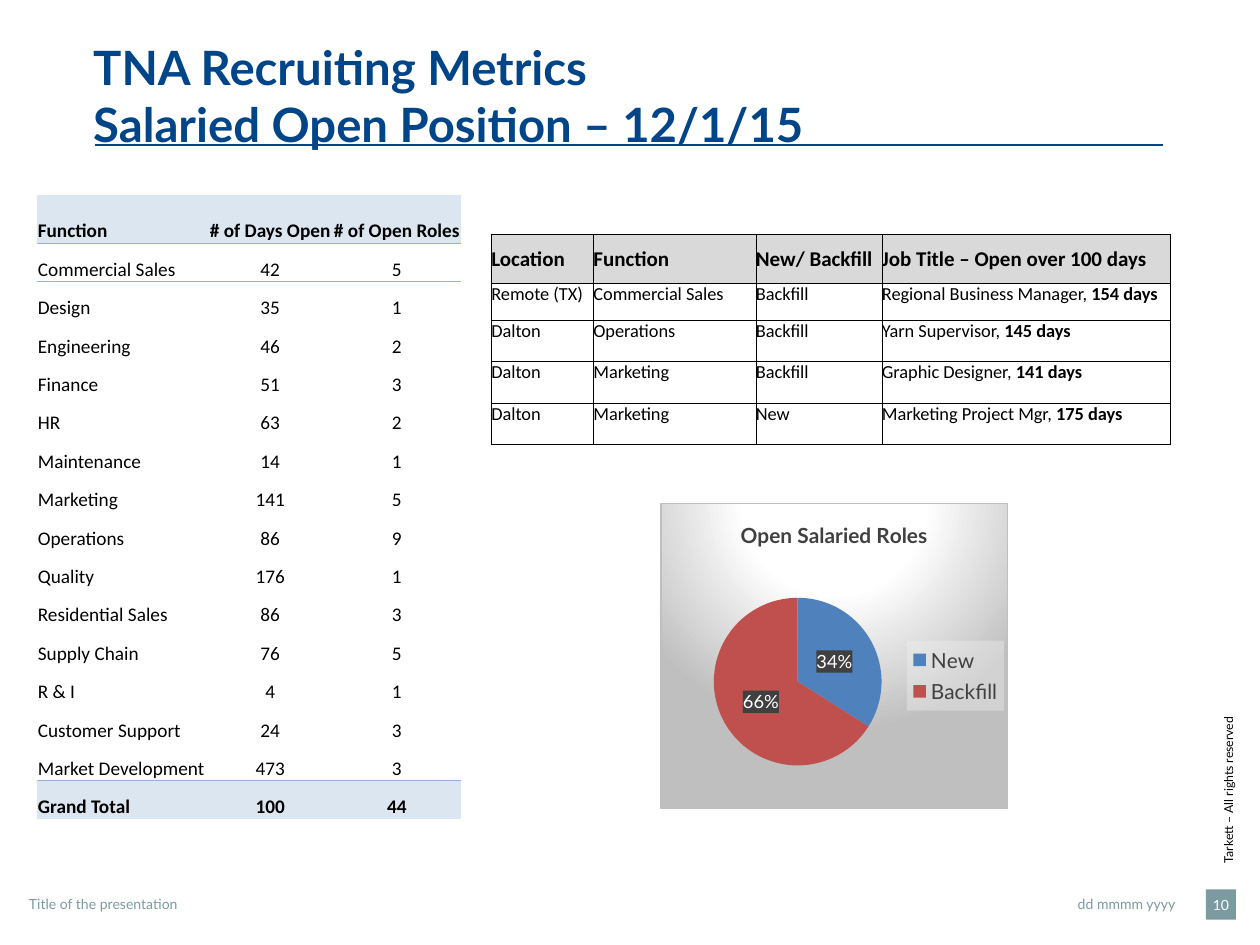
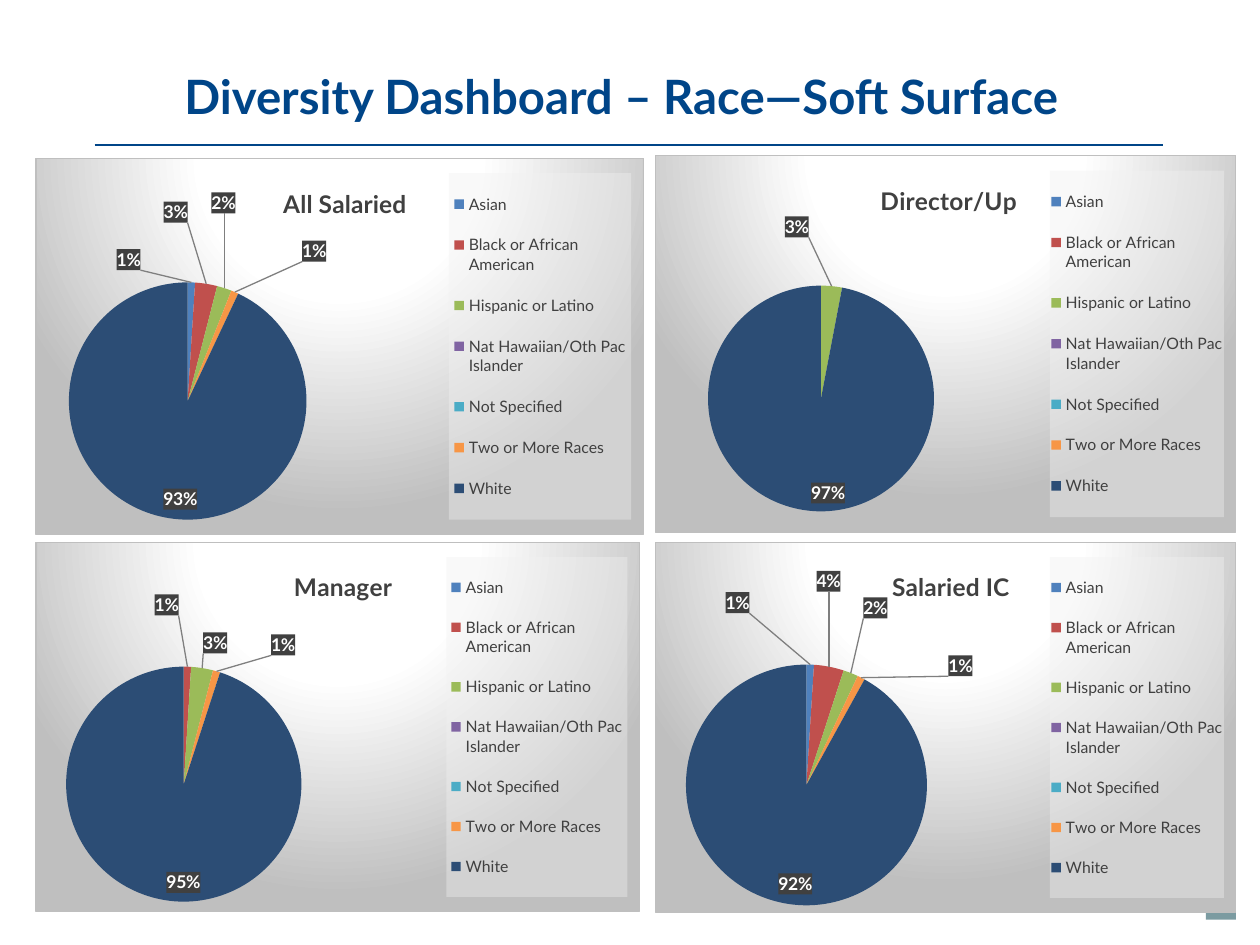
from pptx import Presentation
from pptx import oxml
from pptx.chart import data as cd
from pptx.dml.color import RGBColor
from pptx.enum import chart as ec, shapes as es, text as et
from pptx.oxml import ns
from pptx.util import Inches, Pt

NAVY = RGBColor(0x00, 0x45, 0x88)
TEAL = RGBColor(0x7B, 0x9B, 0xA1)
BLACK = RGBColor(0, 0, 0)
WHITE = RGBColor(255, 255, 255)
DARK = RGBColor(0x40, 0x40, 0x40)
GREY = RGBColor(0xD9, 0xD9, 0xD9)
PALE = RGBColor(0xDC, 0xE6, 0xF1)
EDGE = RGBColor(0x95, 0xB3, 0xD7)
SILVER = RGBColor(0xBF, 0xBF, 0xBF)
BLUE = RGBColor(0x4F, 0x81, 0xBD)
RED = RGBColor(0xC0, 0x50, 0x4D)
RACE_HUES = [BLUE, RED, RGBColor(0x9B, 0xBB, 0x59), RGBColor(0x80, 0x64, 0xA2),
             RGBColor(0x4B, 0xAC, 0xC6), RGBColor(0xF7, 0x96, 0x46),
             RGBColor(0x2C, 0x4D, 0x75)]
LEFT, MID, RIGHT = et.PP_ALIGN.LEFT, et.PP_ALIGN.CENTER, et.PP_ALIGN.RIGHT
TOP, MIDDLE, BASE = (et.MSO_ANCHOR.TOP, et.MSO_ANCHOR.MIDDLE,
                     et.MSO_ANCHOR.BOTTOM)
NO_STYLE = "{2D5ABB26-0587-4C30-8999-92F81FD0307C}"

RACES = ["Asian", "Black or African American", "Hispanic or Latino",
         "Nat Hawaiian/Oth Pac Islander", "Not Specified",
         "Two or More Races", "White"]
OPEN_ROLES = [
    ("Function", "# of Days Open", "# of Open Roles"),
    ("Commercial Sales", 42, 5), ("Design", 35, 1), ("Engineering", 46, 2),
    ("Finance", 51, 3), ("HR", 63, 2), ("Maintenance", 14, 1),
    ("Marketing", 141, 5), ("Operations", 86, 9), ("Quality", 176, 1),
    ("Residential Sales", 86, 3), ("Supply Chain", 76, 5), ("R & I", 4, 1),
    ("Customer Support", 24, 3), ("Market Development", 473, 3),
    ("Grand Total", 100, 44)]
LONG_OPEN = [
    ("Location", "Function", "New/ Backfill", "Job Title – Open over 100 days"),
    ("Remote (TX)", "Commercial Sales", "Backfill",
     "Regional Business Manager, |154 days"),
    ("Dalton", "Operations", "Backfill", "Yarn Supervisor, |145 days"),
    ("Dalton", "Marketing", "Backfill", "Graphic Designer, |141 days"),
    ("Dalton", "Marketing", "New", "Marketing Project Mgr, |175 days")]
RACE_PIES = [
    ("All Salaried", (0.28, 1.25, 4.83, 3), [1, 3, 2, 0, 0, 1, 93],
     (0.05, 0.33, 0.4, 0.63), 0.4,
     {0: (-0.5, -0.04), 1: (-0.35, -0.43), 2: (-0.12, -0.54), 5: (0.51, -0.19)}),
    ("Manager", (0.28, 4.3, 4.8, 2.94), [0, 1, 3, 0, 0, 1, 95],
     (0.05, 0.33, 0.39, 0.65), 0.42,
     {1: (-0.17, -0.35), 2: (0, -0.06), 5: (0.42, -0.07)}),
    ("Salaried IC", (5.2, 4.3, 4.61, 2.95), [1, 4, 2, 0, 0, 1, 92],
     (0.05, 0.33, 0.42, 0.65), 0.4,
     {0: (-0.58, -0.35), 1: (-0.11, -0.54), 2: (0.08, -0.38), 5: (0.67, 0.04)}),
    ("Director/Up", (5.2, 1.23, 4.61, 3), [0, 0, 3, 0, 0, 0, 97],
     (0.09, 0.32, 0.39, 0.65), 0.38, {2: (-0.38, -0.33)})]


def node(tag, inner="", attrs=""):
    """Build an XML element in the chart or drawing namespace."""
    return oxml.parse_xml(f"<{tag} {ns.nsdecls('c', 'a')} {attrs}>{inner}</{tag}>")


def solid(hue, alpha=100):
    """Return solid fill XML."""
    return (f'<a:solidFill><a:srgbClr val="{hue}"><a:alpha val="{alpha * 1000}"/>'
            '</a:srgbClr></a:solidFill>')


def style(font, size, hue, bold=False, face="Lato"):
    """Set the look of a font."""
    font.size, font.name, font.bold = Pt(size), face, bold
    font.color.rgb = hue


def write(frame, words, size=8, hue=BLACK, bold=False, face="Lato", align=LEFT):
    """Fill a frame; a newline starts a paragraph and a bar toggles bold."""
    for i, line in enumerate(str(words).split("\n")):
        para = frame.add_paragraph() if i else frame.paragraphs[0]
        para.alignment = align
        for j, part in enumerate(line.split("|")):
            run = para.add_run()
            run.text = part
            style(run.font, size, hue, bold or j % 2 == 1, face)


def pad(frame, left=0, top=0, right=0, low=0):
    """Set the margins of a frame or cell."""
    frame.margin_left, frame.margin_top = Inches(left), Inches(top)
    frame.margin_right, frame.margin_bottom = Inches(right), Inches(low)


def label(slide, box, words, anchor=TOP, side=0.04, **look):
    """Add a text box."""
    item = slide.shapes.add_textbox(*map(Inches, box))
    frame = item.text_frame
    frame.word_wrap, frame.vertical_anchor = True, anchor
    pad(frame, side, right=side)
    write(frame, words, **look)
    return item


def paint(shape, hue):
    """Give a shape a plain fill with no line or shadow."""
    shape.fill.solid()
    shape.fill.fore_color.rgb = hue
    shape.line.fill.background()
    shape.shadow.inherit = False


def base(deck, title, box, align=LEFT):
    """Add a slide with the corner, rule, side note, title and badge."""
    slide = deck.slides.add_slide(deck.slide_layouts[6])
    pen = slide.shapes.build_freeform(0, 0, scale=Inches(1))
    pen.add_line_segments([(0.94, 0), (0.94, 0.32), (0.32, 0.32),
                           (0.32, 0.94), (0, 0.94)])
    paint(pen.convert_to_shape(), NAVY)
    note = label(slide, (9.14, 6.18, 1.22, 0.12),
                 "Tarkett – All rights reserved", side=0, size=7)
    note.rotation = 270
    rule = slide.shapes.add_connector(es.MSO_CONNECTOR.STRAIGHT, Inches(0.75),
                                      Inches(1.15), Inches(9.23), Inches(1.15))
    rule.line.color.rgb, rule.line.width = NAVY, Pt(1)
    rule._element.spPr.append(node("a:effectLst"))
    label(slide, box, title, MIDDLE, size=27, hue=NAVY, bold=True, align=align)
    badge = slide.shapes.add_shape(es.MSO_SHAPE.RECTANGLE, *map(
        Inches, (9.57, 7.06, 0.24, 0.24)))
    paint(badge, TEAL)
    return slide, badge


def footer(slide, badge, page):
    """Write the footer line and page number."""
    label(slide, (0.19, 7.11, 3.4, 0.13), "Title of the presentation", hue=TEAL)
    label(slide, (7.99, 7.11, 1.38, 0.13), "dd mmmm yyyy", hue=TEAL, align=RIGHT)
    pad(badge.text_frame)
    badge.text_frame.vertical_anchor = MIDDLE
    write(badge.text_frame, page, hue=WHITE, align=MID)


def rim(cell, hue, sides):
    """Draw half-point borders on the given sides of a cell."""
    props = cell._tc.get_or_add_tcPr()
    for i, side in enumerate(sides):
        props.insert(i, node(f"a:ln{side}", solid(hue), 'w="6350"'))


def grid(slide, spot, wide, high, rows, dress):
    """Add an unstyled table and let dress format each cell."""
    table = slide.shapes.add_table(
        len(rows), len(wide), *map(Inches, (*spot, sum(wide), sum(high)))).table
    table.first_row = table.horz_banding = False
    table._tbl.tblPr.find(ns.qn("a:tableStyleId")).text = NO_STYLE
    for col, size in zip(table.columns, wide):
        col.width = Inches(size)
    for r, row in enumerate(rows):
        table.rows[r].height = Inches(high[r])
        for c, words in enumerate(row):
            dress(table.cell(r, c), r, c, words)


def shade(cell, hue=None):
    """Fill a cell, or clear it when no colour is given."""
    if hue is None:
        cell.fill.background()
    else:
        cell.fill.solid()
        cell.fill.fore_color.rgb = hue


def role_cell(cell, r, c, words):
    """Format a cell of the open roles table."""
    last = len(OPEN_ROLES) - 1
    ends = r in (0, last)
    pad(cell, 0.01, 0.01, 0.01)
    cell.vertical_anchor = BASE
    shade(cell, PALE if ends else None)
    rim(cell, EDGE, {0: "B", 1: "T", last - 1: "B", last: "T"}.get(r, ""))
    write(cell.text_frame, words, size=11, bold=ends, face="Calibri",
          align=MID if c else LEFT)


def job_cell(cell, r, c, words):
    """Format a cell of the long-open jobs table."""
    head = r == 0
    pad(cell)
    cell.vertical_anchor = MIDDLE if head else TOP
    shade(cell, GREY if head else None)
    rim(cell, BLACK, "LRTB")
    write(cell.text_frame, words, size=12 if head else 10.5, bold=head,
          face="Calibri")


def place(host, at, box, inner=False):
    """Give a chart part a manual layout."""
    for old in host.findall(ns.qn("c:layout")):
        host.remove(old)
    parts = '<c:layoutTarget val="inner"/>' if inner else ""
    parts += '<c:xMode val="edge"/><c:yMode val="edge"/>'
    parts += "".join(f'<c:{k} val="{v}"/>' for k, v in zip("xywh", box))
    host.insert(at, node("c:layout", f"<c:manualLayout>{parts}</c:manualLayout>"))


def tags(vals, shifts, spot, size, bold, wide, high):
    """Build percent labels on dark plates, moved by shifts in inches."""
    def show(pos):
        flags = "".join(f'<c:show{k} val="{int(k == "Percent")}"/>' for k in (
            "LegendKey", "Val", "CatName", "SerName", "Percent", "BubbleSize"))
        return (f'<c:spPr>{solid(DARK, 90)}</c:spPr><c:txPr><a:bodyPr/><a:p><a:pPr>'
                f'<a:defRPr sz="{int(size * 100)}" b="{int(bold)}">{solid(WHITE)}'
                '<a:latin typeface="Lato"/></a:defRPr></a:pPr></a:p></c:txPr>'
                f'<c:dLblPos val="{pos}"/>{flags}')

    parts = ""
    for i, val in enumerate(vals):
        if val == 0:
            parts += f'<c:dLbl><c:idx val="{i}"/><c:delete val="1"/></c:dLbl>'
        elif i in shifts:
            x, y = shifts[i]
            parts += (f'<c:dLbl><c:idx val="{i}"/><c:layout><c:manualLayout>'
                      f'<c:x val="{x / wide:.3f}"/><c:y val="{y / high:.3f}"/>'
                      f'</c:manualLayout></c:layout>{show("bestFit")}</c:dLbl>')
    line = f'<c:spPr><a:ln w="9525">{solid("7F7F7F")}</a:ln></c:spPr>'
    return node("c:dLbls", parts + show(spot) + '<c:showLeaderLines val="1"/>'
                f"<c:leaderLines>{line}</c:leaderLines>")


def pie(slide, box, title, cats, vals, hues, plot, key, head=None, shifts={},
        spot="inEnd", sizes=(14, 9, 10), bold=True):
    """Add a pie chart on a glowing grey panel."""
    feed = cd.CategoryChartData()
    feed.categories = cats
    feed.add_series("Series 1", vals)
    chart = slide.shapes.add_chart(ec.XL_CHART_TYPE.PIE, *map(Inches, box),
                                   feed).chart
    style(chart.font, 10, BLACK)
    chart.has_title = chart.has_legend = True
    write(chart.chart_title.text_frame, title, size=sizes[0], hue=DARK,
          bold=True, align=MID)
    legend = chart.legend
    legend.position = ec.XL_LEGEND_POSITION.RIGHT
    legend.include_in_layout = False
    style(legend.font, sizes[1], DARK)
    chart.plots[0].vary_by_categories = True
    for i, hue in enumerate(hues):
        fill = chart.plots[0].series[0].points[i].format.fill
        fill.solid()
        fill.fore_color.rgb = hue
    space = chart.element
    find = lambda route: space.xpath(route)[0]
    find(".//c:ser/c:cat").addprevious(
        tags(vals, shifts, spot, sizes[2], bold, *box[2:]))
    place(find(".//c:plotArea"), 0, plot, True)
    place(find(".//c:legend"), 1, key)
    if head:
        place(find("c:chart/c:title"), 1, (head, 0.06))
    find(".//c:legend/c:txPr").addprevious(
        node("c:spPr", solid("F2F2F2", 39)))
    stops = "".join(f'<a:gs pos="{p}000"><a:srgbClr val="{h}"/></a:gs>'
                    for p, h in ((0, WHITE), (39, WHITE), (100, SILVER)))
    find("c:chart").addnext(node(
        "c:spPr", f'<a:gradFill><a:gsLst>{stops}</a:gsLst><a:path path="circle">'
        '<a:fillToRect l="50000" t="-80000" r="50000" b="180000"/></a:path>'
        f'</a:gradFill><a:ln w="9525">{solid(SILVER)}</a:ln>'))


def metrics(deck):
    """Build the recruiting metrics slide."""
    slide, badge = base(deck, "TNA Recruiting Metrics\n"
                        "Salaried Open Position – 12/1/15", (0.7, 0.3, 8.46, 0.91))
    footer(slide, badge, 10)
    grid(slide, (3.9, 1.86), (0.81, 1.29, 1, 2.29), (0.39, 0.29, *[0.33] * 3),
         LONG_OPEN, job_cell)
    pie(slide, (5.24, 3.99, 2.76, 2.43), "Open Salaried Roles",
        ["New", "Backfill"], [34, 66], [BLUE, RED], (0.15, 0.31, 0.49, 0.55),
        (0.71, 0.45, 0.28, 0.23), spot="ctr", sizes=(12, 12, 10.5), bold=False)
    grid(slide, (0.29, 1.55), (1.36, 0.99, 1.02), (0.38, *[0.305] * 15),
         OPEN_ROLES, role_cell)


def races(deck):
    """Build the diversity dashboard slide."""
    slide, _ = base(deck, "Diversity Dashboard – Race—Soft Surface",
                    (0.7, 0.53, 8.46, 0.45), MID)
    for title, box, vals, plot, head, shifts in RACE_PIES:
        pie(slide, box, title, RACES, vals, RACE_HUES, plot,
            (0.68, 0.04, 0.3, 0.92), head, shifts)


def main():
    """Build and save the deck."""
    deck = Presentation()
    deck.slide_width, deck.slide_height = Inches(10), Inches(7.5)
    metrics(deck)
    races(deck)
    deck.save("out.pptx")


if __name__ == "__main__":
    main()
